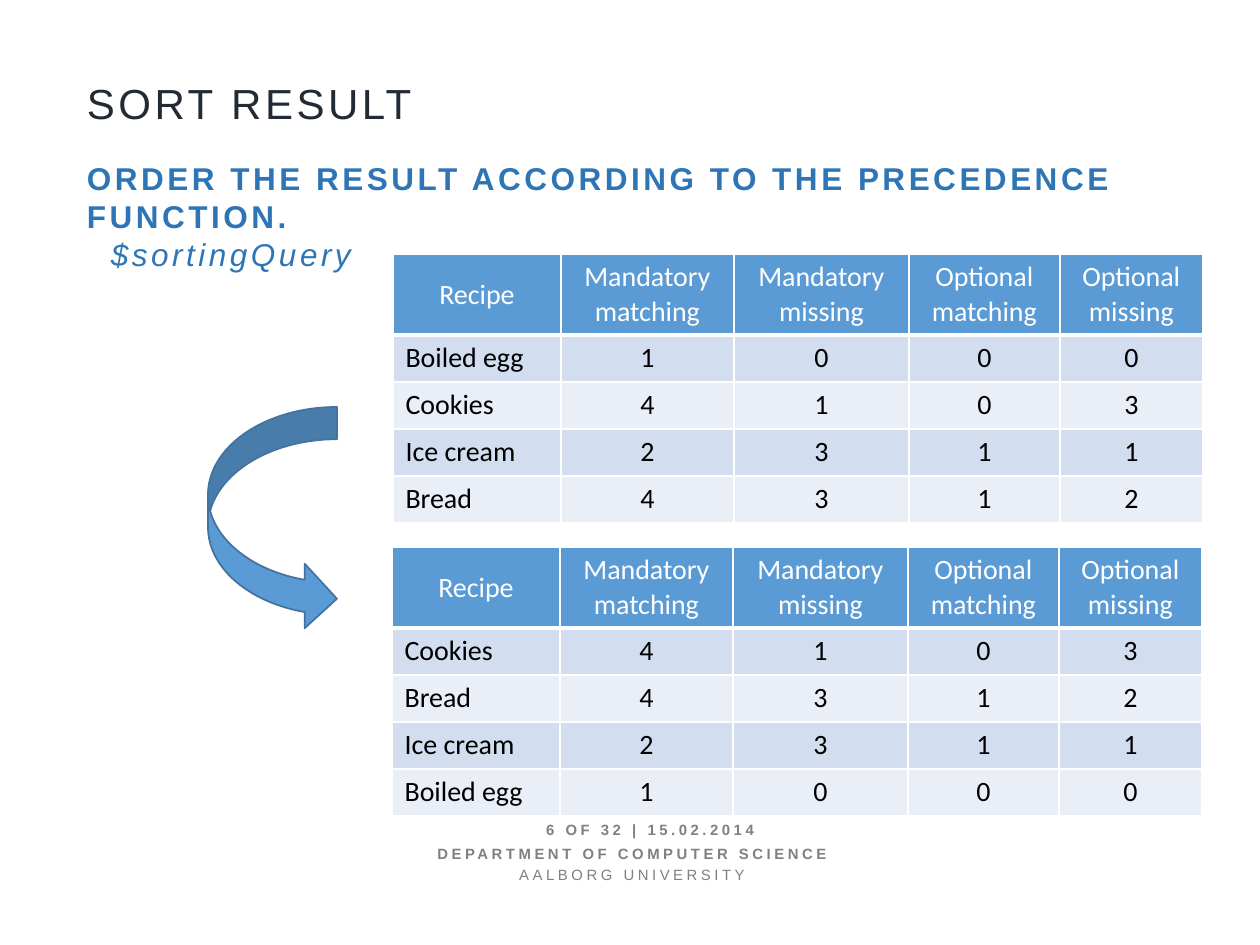
from lxml import etree
from pptx import Presentation
from pptx.dml.color import RGBColor
from pptx.enum.shapes import MSO_SHAPE
from pptx.enum.text import MSO_ANCHOR, PP_ALIGN
from pptx.oxml.ns import qn
from pptx.util import Emu, Pt

CENTER, LEFT = PP_ALIGN.CENTER, PP_ALIGN.LEFT
MIDDLE, TOP = MSO_ANCHOR.MIDDLE, MSO_ANCHOR.TOP
CURVED_ARROW = MSO_SHAPE.CURVED_RIGHT_ARROW

DARK, BLUE, GREY = "222A35", "2E75B6", "808080"
WHITE, BLACK = "FFFFFF", "000000"
ACCENT, ACCENT_LINE = "5B9BD5", "43739E"
BANDS = ("D2DEEF", "EAEFF7")

HEADER = ("Recipe", "Mandatory matching", "Mandatory missing",
          "Optional matching", "Optional missing")
RECIPES = (
    ("Boiled egg", 1, 0, 0, 0),
    ("Cookies", 4, 1, 0, 3),
    ("Ice cream", 2, 3, 1, 1),
    ("Bread", 4, 3, 1, 2),
)
SORTED_ORDER = (1, 3, 2, 0)
COLUMN_WIDTHS = (168, 173, 175, 151, 143)
HEADER_HEIGHT, ROW_HEIGHT = 81, 47


def px(length):
    return Emu(round(length * 914400 / 126))


def color(hex_string):
    return RGBColor.from_string(hex_string)


def style(paragraph, font_name, size, hex_string, bold=False, italic=False):
    font = paragraph.font
    font.name, font.size = font_name, Pt(size)
    font.bold, font.italic = bold, italic
    font.color.rgb = color(hex_string)


def add_spaced_text(slide, box, lines, size, hex_string, align=LEFT, anchor=TOP):
    """Add letter-spaced Arial lines, each a (text, options) pair."""
    frame = slide.shapes.add_textbox(*map(px, box)).text_frame
    frame.word_wrap = True
    frame.vertical_anchor = anchor
    frame.margin_left = frame.margin_right = 0
    frame.margin_top = frame.margin_bottom = 0
    for index, (text, options) in enumerate(lines):
        paragraph = frame.add_paragraph() if index else frame.paragraphs[0]
        paragraph.alignment = align
        run = paragraph.add_run()
        run.text = text
        run._r.get_or_add_rPr().set("spc", "200")
        if "indent" in options:
            paragraph._p.get_or_add_pPr().set("marL", str(px(options["indent"])))
        if "before" in options:
            paragraph.space_before = Pt(options["before"])
        style(paragraph, "Arial", size, hex_string,
              options.get("bold", False), options.get("italic", False))


def add_borders(cell, bottom):
    properties = cell._tc.get_or_add_tcPr()
    for side, width in (("L", 1), ("R", 1), ("T", 1), ("B", bottom)):
        line = etree.SubElement(properties, qn(f"a:ln{side}"), w=str(Pt(width)))
        fill = etree.SubElement(line, qn("a:solidFill"))
        etree.SubElement(fill, qn("a:srgbClr"), val=WHITE)


def add_recipe_table(slide, left, top, recipes):
    rows = (HEADER, *recipes)
    height = HEADER_HEIGHT + ROW_HEIGHT * len(recipes)
    table = slide.shapes.add_table(
        len(rows), len(HEADER), px(left), px(top),
        px(sum(COLUMN_WIDTHS)), px(height)).table
    table.first_row = table.horz_banding = False
    for column, width in zip(table.columns, COLUMN_WIDTHS):
        column.width = px(width)
    for row_index, values in enumerate(rows):
        is_header = row_index == 0
        table.rows[row_index].height = px(HEADER_HEIGHT if is_header else ROW_HEIGHT)
        for column_index, value in enumerate(values):
            cell = table.cell(row_index, column_index)
            cell.text = str(value)
            cell.vertical_anchor = MIDDLE if is_header else TOP
            add_borders(cell, bottom=3 if is_header else 1)
            cell.fill.solid()
            cell.fill.fore_color.rgb = color(
                ACCENT if is_header else BANDS[(row_index - 1) % 2])
            paragraph = cell.text_frame.paragraphs[0]
            paragraph.alignment = CENTER if is_header or column_index else LEFT
            style(paragraph, "Calibri", 16, WHITE if is_header else BLACK)


def add_sort_arrow(slide, box):
    arrow = slide.shapes.add_shape(CURVED_ARROW, *map(px, box))
    arrow.shadow.inherit = False
    arrow.fill.solid()
    arrow.fill.fore_color.rgb = color(ACCENT)
    arrow.line.color.rgb = color(ACCENT_LINE)
    arrow.line.width = Pt(1)


def add_heading(slide, left, top):
    add_spaced_text(slide, (left, top, 859, 50), [("SORT RESULT", {})], 24, DARK)
    add_spaced_text(slide, (left, top + 81, 1045, 562), [
        ("ORDER THE RESULT ACCORDING TO THE PRECEDENCE FUNCTION.", {"bold": True}),
        ("$sortingQuery", {"italic": True, "indent": 24}),
    ], 18, BLUE)


def add_footer(slide, left, top):
    add_spaced_text(slide, (left, top, 600, 20),
                    [("6 OF 32 | 15.02.2014", {"bold": True})],
                    8.5, GREY, CENTER, MIDDLE)
    add_spaced_text(slide, (left + 28, top + 25, 508, 40), [
        ("DEPARTMENT OF COMPUTER SCIENCE", {"bold": True}),
        ("AALBORG UNIVERSITY", {"before": 1.8}),
    ], 8.5, GREY, CENTER)


def main():
    presentation = Presentation()
    presentation.slide_width, presentation.slide_height = px(1260), px(945)
    slide = presentation.slides.add_slide(presentation.slide_layouts[6])
    add_heading(slide, 87, 78)
    add_footer(slide, 350, 820)
    add_recipe_table(slide, 393, 254, RECIPES)
    add_recipe_table(slide, 392, 547, [RECIPES[index] for index in SORTED_ORDER])
    add_sort_arrow(slide, (208, 407, 129, 224))
    presentation.save("out.pptx")


if __name__ == "__main__":
    main()
